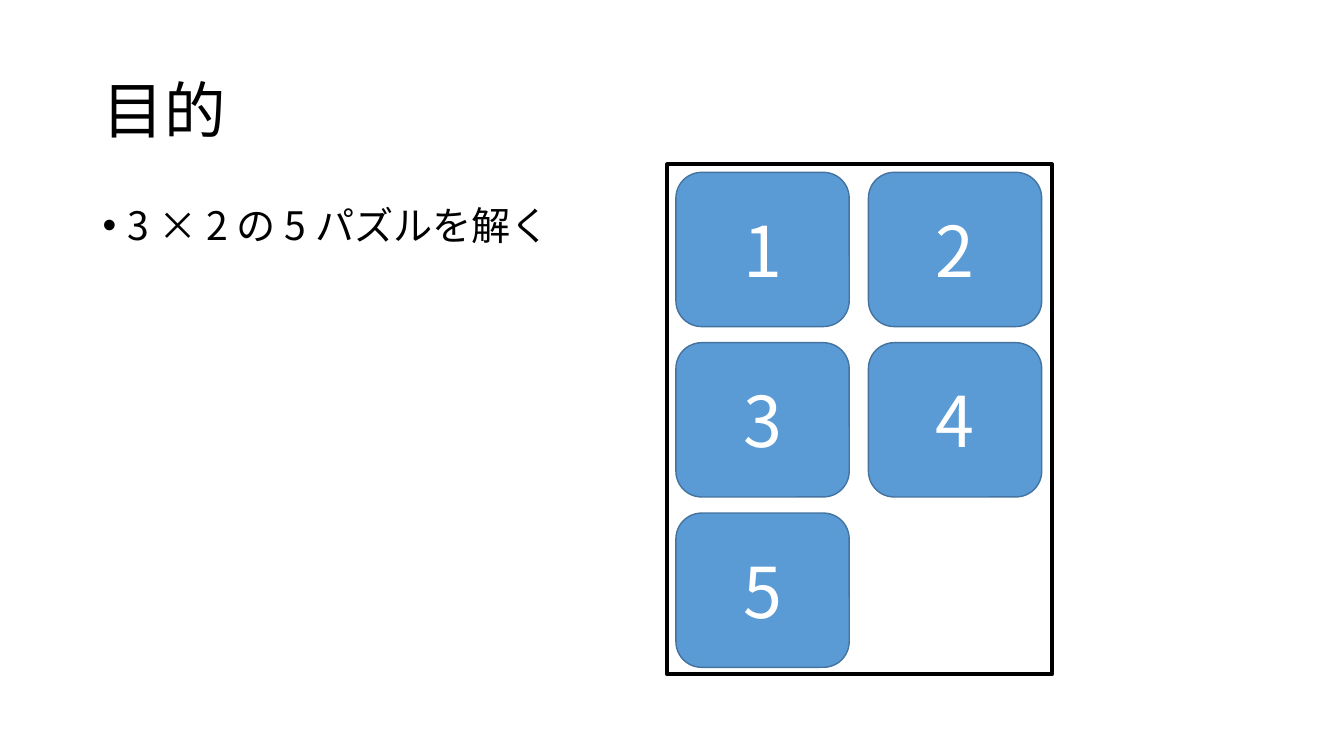
from dataclasses import dataclass

from lxml import etree
from pptx import Presentation
from pptx import util as u
from pptx.dml.color import RGBColor
from pptx.enum import shapes, text
from pptx.oxml import ns

HEADING = "目的"
GOALS = ["3 × 2 の 5 パズルを解く"]
PUZZLE = [("1", "2"), ("3", "4"), ("5", None)]

HEADING_BOX = (66.24, 28.8, 828, 104.4)
GOALS_BOX = (66.24, 144, 828, 342.7)
TRAY_BOX = (476.6, 117.4, 275, 364.3)
FIRST_TILE = (482.8, 123.1)
TILE_SIZE = (123.8, 110.2)
TILE_GAP = (13.7, 11.5)
BULLET_INDENT = 18


@dataclass(frozen=True)
class Theme:
    """Colours, font and type sizes."""
    font: str = "Noto Sans CJK JP"
    ink: str = "000000"
    paper: str = "FFFFFF"
    tile: str = "5B9BD5"
    tile_edge: str = "43739E"
    heading_size: int = 44
    goal_size: int = 28
    tile_text_size: int = 50


THEME = Theme()


def points(box):
    """Turn a box of points into lengths."""
    return [u.Pt(value) for value in box]


def add_run(paragraph, words, size, color):
    """Add a styled run, with the font set for Japanese too."""
    run = paragraph.add_run()
    run.text = words
    run.font.size = u.Pt(size)
    run.font.name = THEME.font
    run.font.color.rgb = RGBColor.from_string(color)
    east_asian = etree.SubElement(run.font._element, ns.qn("a:ea"))
    east_asian.set("typeface", THEME.font)


def add_frame(slide, box, anchor):
    """Add a wrapping text box and return its text frame."""
    frame = slide.shapes.add_textbox(*points(box)).text_frame
    frame.word_wrap = True
    frame.vertical_anchor = anchor
    return frame


def add_bullet(paragraph):
    """Give a paragraph a hanging bullet."""
    props = paragraph._p.get_or_add_pPr()
    props.set("marL", str(u.Pt(BULLET_INDENT)))
    props.set("indent", str(-u.Pt(BULLET_INDENT)))
    etree.SubElement(props, ns.qn("a:buFont")).set("typeface", "Arial")
    etree.SubElement(props, ns.qn("a:buChar")).set("char", "•")


def add_block(slide, kind, box, fill, line, width):
    """Add a filled, outlined shape without a shadow."""
    block = slide.shapes.add_shape(kind, *points(box))
    block.shadow.inherit = False
    block.fill.solid()
    block.fill.fore_color.rgb = RGBColor.from_string(fill)
    block.line.color.rgb = RGBColor.from_string(line)
    block.line.width = u.Pt(width)
    return block


def add_heading(slide):
    """Add the slide heading."""
    heading = add_frame(slide, HEADING_BOX, text.MSO_ANCHOR.MIDDLE).paragraphs[0]
    heading.line_spacing = 0.9
    add_run(heading, HEADING, THEME.heading_size, THEME.ink)


def add_goals(slide):
    """Add the bulleted goals."""
    frame = add_frame(slide, GOALS_BOX, text.MSO_ANCHOR.TOP)
    for index, words in enumerate(GOALS):
        goal = frame.add_paragraph() if index else frame.paragraphs[0]
        goal.line_spacing = 0.9
        goal.space_before = u.Pt(10)
        add_bullet(goal)
        add_run(goal, words, THEME.goal_size, THEME.ink)


def add_puzzle(slide):
    """Add the tray and its grid of numbered tiles."""
    add_block(slide, shapes.MSO_SHAPE.RECTANGLE, TRAY_BOX,
              THEME.paper, THEME.ink, 2.75)
    step_x, step_y = (size + gap for size, gap in zip(TILE_SIZE, TILE_GAP))
    for row, numbers in enumerate(PUZZLE):
        for column, number in enumerate(numbers):
            if number is None:
                continue
            corner = (FIRST_TILE[0] + column * step_x,
                      FIRST_TILE[1] + row * step_y)
            tile = add_block(slide, shapes.MSO_SHAPE.ROUNDED_RECTANGLE,
                             corner + TILE_SIZE, THEME.tile, THEME.tile_edge, 1)
            tile.text_frame.vertical_anchor = text.MSO_ANCHOR.MIDDLE
            label = tile.text_frame.paragraphs[0]
            label.alignment = text.PP_ALIGN.CENTER
            add_run(label, number, THEME.tile_text_size, THEME.paper)


deck = Presentation()
deck.slide_width, deck.slide_height = points((960, 540))
page = deck.slides.add_slide(deck.slide_layouts[6])
add_heading(page)
add_goals(page)
add_puzzle(page)
deck.save("out.pptx")
